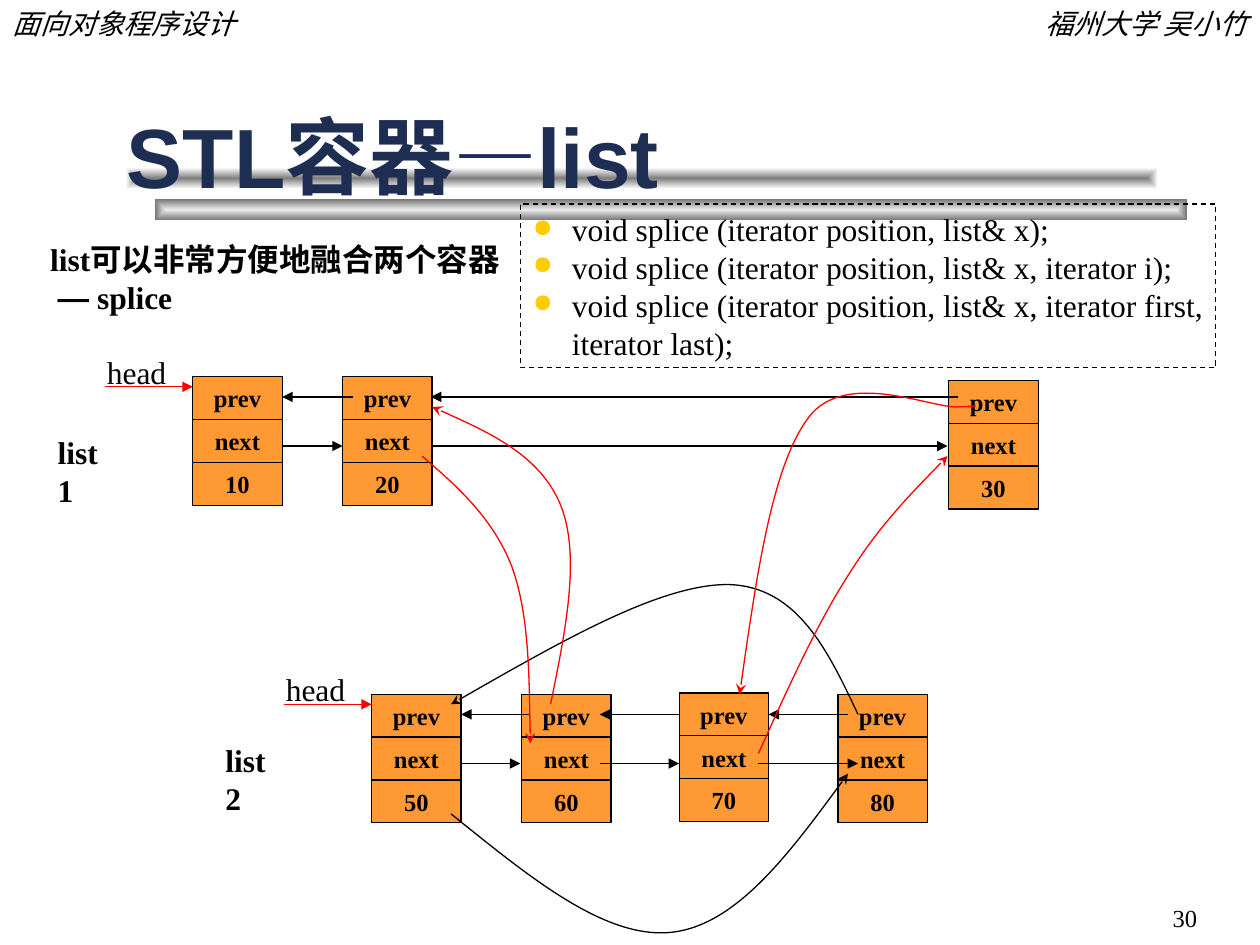
from dataclasses import dataclass

from lxml.etree import SubElement
from pptx import Presentation
from pptx.dml.color import RGBColor
from pptx.enum.dml import MSO_LINE
from pptx.enum.shapes import MSO_CONNECTOR, MSO_SHAPE
from pptx.enum.text import MSO_ANCHOR, PP_ALIGN
from pptx.oxml.ns import qn
from pptx.util import Inches, Pt


@dataclass(frozen=True)
class Theme:
    ink: str = "000000"
    title: str = "1E2E53"
    node: str = "FF9933"
    accent: str = "FF0000"
    bullet: str = "FFCC00"
    back_bar: tuple = ("EAEAEA", "757575")
    front_bar: tuple = ("7F7F7F", "FFFFFF")
    serif: str = "Times New Roman"
    sans: str = "Arial"
    title_size: int = 48
    body_size: int = 18
    header_size: int = 16
    node_size: int = 14
    line_width: float = 0.75


class ListSlide:
    """Draws linked-list diagrams on one slide in one theme."""

    def __init__(self, slide, theme):
        self.slide = slide
        self.shapes = slide.shapes
        self.theme = theme

    def style(self, paragraph, size, color=None, font=None, bold=False, italic=False):
        for run in paragraph.runs:
            run.font.name = font or self.theme.serif
            run.font.size = Pt(size)
            run.font.bold = bold
            run.font.italic = italic
            run.font.color.rgb = RGBColor.from_string(color or self.theme.ink)

    def outline(self, line, color):
        line.color.rgb = RGBColor.from_string(color)
        line.width = Pt(self.theme.line_width)

    def arrowhead(self, line, kind):
        SubElement(line._get_or_add_ln(), qn("a:tailEnd"), type=kind)

    def rectangle(self, left, top, width, height):
        rectangle = self.shapes.add_shape(
            MSO_SHAPE.RECTANGLE, Inches(left), Inches(top), Inches(width), Inches(height))
        rectangle.shadow.inherit = False
        return rectangle

    def bar(self, left, top, colors):
        bar = self.rectangle(left, top, 8.19, 0.17)
        bar.line.fill.background()
        bar.fill.gradient()
        for stop, color, position in zip(bar.fill.gradient_stops, colors, (0, 1)):
            stop.color.rgb = RGBColor.from_string(color)
            stop.position = position
        gradient = bar._element.spPr.find(qn("a:gradFill"))
        gradient.remove(gradient.find(qn("a:lin")))
        path = SubElement(gradient, qn("a:path"), path="rect")
        SubElement(path, qn("a:fillToRect"), l="50000", t="50000", r="50000", b="50000")

    def text(self, words, left, top, width, height, size, align=PP_ALIGN.LEFT,
             anchor=MSO_ANCHOR.TOP, wrap=False, **look):
        box = self.shapes.add_textbox(Inches(left), Inches(top), Inches(width), Inches(height))
        frame = box.text_frame
        frame.word_wrap = wrap
        frame.vertical_anchor = anchor
        frame.text = words
        for paragraph in frame.paragraphs:
            paragraph.alignment = align
            self.style(paragraph, size, **look)
        return frame

    def node(self, left, top, value):
        for row, word in enumerate(("prev", "next", value)):
            cell = self.rectangle(left, top + row * 0.34, 0.71, 0.34)
            cell.fill.solid()
            cell.fill.fore_color.rgb = RGBColor.from_string(self.theme.node)
            self.outline(cell.line, self.theme.ink)
            frame = cell.text_frame
            frame.vertical_anchor = MSO_ANCHOR.MIDDLE
            frame.text = word
            frame.paragraphs[0].alignment = PP_ALIGN.CENTER
            self.style(frame.paragraphs[0], self.theme.node_size, bold=True)

    def arrow(self, start_x, end_x, y, color=None):
        arrow = self.shapes.add_connector(
            MSO_CONNECTOR.STRAIGHT, Inches(start_x), Inches(y), Inches(end_x), Inches(y))
        self.outline(arrow.line, color or self.theme.ink)
        self.arrowhead(arrow.line, "triangle")
        SubElement(arrow._element.spPr, qn("a:effectLst"))

    def curve(self, points, color):
        start, *controls = [(Inches(x), Inches(y)) for x, y in points]
        builder = self.shapes.build_freeform(*start)
        builder.add_line_segments(controls, close=False)
        curve = builder.convert_to_shape()
        path = next(curve._element.iter(qn("a:path")))
        segments = path.findall(qn("a:lnTo"))
        for first in range(0, len(segments), 3):
            bezier = SubElement(path, qn("a:cubicBezTo"))
            for segment in segments[first:first + 3]:
                bezier.append(segment[0])
                path.remove(segment)
        curve.shadow.inherit = False
        curve.fill.background()
        self.outline(curve.line, color)
        self.arrowhead(curve.line, "stealth")

    def signatures(self, lines, left, top, width, height):
        panel = self.rectangle(left, top, width, height)
        panel.fill.background()
        self.outline(panel.line, self.theme.ink)
        panel.line.dash_style = MSO_LINE.DASH
        frame = panel.text_frame
        frame.word_wrap = True
        frame.vertical_anchor = MSO_ANCHOR.TOP
        frame.text = "\n".join(lines)
        for paragraph in frame.paragraphs:
            paragraph.alignment = PP_ALIGN.LEFT
            properties = paragraph._p.get_or_add_pPr()
            properties.set("marL", str(Inches(0.31)))
            properties.set("indent", str(Inches(-0.31)))
            color = SubElement(properties, qn("a:buClr"))
            SubElement(color, qn("a:srgbClr"), val=self.theme.bullet)
            SubElement(properties, qn("a:buSzPct"), val="80000")
            SubElement(properties, qn("a:buChar"), char="●")
            self.style(paragraph, self.theme.body_size)


def main():
    deck = Presentation()
    deck.slide_width, deck.slide_height = Inches(10), Inches(7.5)
    theme = Theme()
    page = ListSlide(deck.slides.add_slide(deck.slide_layouts[6]), theme)

    page.bar(1.23, 1.58, theme.back_bar)
    page.bar(1, 1.33, theme.front_bar)
    page.text("面向对象程序设计", 0, 0, 3.08, 0.37, theme.header_size, wrap=True, italic=True)
    page.text("福州大学 吴小竹", 6.92, 0, 3.08, 0.37, theme.header_size,
              PP_ALIGN.RIGHT, wrap=True, italic=True)
    page.text("30", 7.52, 7.03, 2.08, 0.5, theme.node_size,
              PP_ALIGN.RIGHT, MSO_ANCHOR.MIDDLE, wrap=True)
    page.text("STL容器—list", 0.91, 0.99, 8.5, 0.48, theme.title_size, anchor=MSO_ANCHOR.MIDDLE,
              wrap=True, color=theme.title, font=theme.sans, bold=True)

    summary = page.text("list可以非常方便地融合两个容器\n—", 0.3, 1.86, 3.83, 0.7,
                        theme.body_size, bold=True)
    splice = summary.paragraphs[1]
    splice._p.get_or_add_pPr().set("marL", str(Inches(0.06)))
    splice.add_run().text = " splice"
    page.style(splice, theme.body_size, bold=True)
    splice.runs[0].font.name = theme.sans

    for left, top, value in (
            (1.53, 2.99, "10"), (2.72, 2.99, "20"), (7.53, 3.02, "30"),
            (2.95, 5.51, "50"), (4.14, 5.51, "60"), (5.39, 5.5, "70"), (6.65, 5.51, "80")):
        page.node(left, top, value)

    for name, name_left, name_top, head_left, head_top in (
            ("list1", 0.36, 3.39, 0.75, 2.75), ("list2", 1.69, 5.83, 2.17, 5.27)):
        page.text(name, name_left, name_top, 0.64, 0.4, theme.body_size, bold=True)
        page.text("head", head_left, head_top, 0.67, 0.4, theme.body_size)
        page.arrow(head_left + 0.08, head_left + 0.78, head_top + 0.32, theme.accent)

    for y, spans in (
            (3.15, ((2.8, 2.24), (7.6, 3.42))),
            (3.54, ((2.24, 2.72), (3.43, 7.52))),
            (5.67, ((4.21, 3.66), (5.39, 4.76), (6.73, 6.1))),
            (6.06, ((3.66, 4.13), (4.76, 5.39), (6.02, 6.81)))):
        for start_x, end_x in spans:
            page.arrow(start_x, end_x, y)

    old_links = (
        ((6.81, 5.67), (6.57, 5.16), (6.33, 4.66), (5.79, 4.64),
         (5.25, 4.63), (4.42, 5.11), (3.58, 5.59)),
        ((3.58, 6.46), (4.19, 6.95), (4.79, 7.45), (5.32, 7.4),
         (5.84, 7.35), (6.29, 6.74), (6.73, 6.14)))
    spliced_links = (
        ((4.37, 5.59), (4.49, 5), (4.61, 4.41), (4.45, 4.01),
         (4.29, 3.62), (3.86, 3.42), (3.43, 3.23)),
        ((3.35, 3.62), (3.63, 3.86), (3.91, 4.11), (4.06, 4.49),
         (4.2, 4.87), (4.2, 5.39), (4.21, 5.9)),
        ((7.68, 3.23), (7.74, 3.22), (7.81, 3.22), (7.6, 3.23), (7.39, 3.24),
         (6.71, 2.93), (6.42, 3.31), (6.13, 3.69), (6, 4.6), (5.87, 5.51)),
        ((6.02, 5.98), (6.25, 5.47), (6.48, 4.96), (6.73, 4.57),
         (6.98, 4.17), (7.25, 3.9), (7.52, 3.62)))
    for links, color in ((old_links, theme.ink), (spliced_links, theme.accent)):
        for points in links:
            page.curve(points, color)

    page.signatures(
        ("void splice (iterator position, list& x);",
         "void splice (iterator position, list& x, iterator i);",
         "void splice (iterator position, list& x, iterator first, iterator last);"),
        4.13, 1.62, 5.52, 1.3)
    deck.save("out.pptx")


if __name__ == "__main__":
    main()
